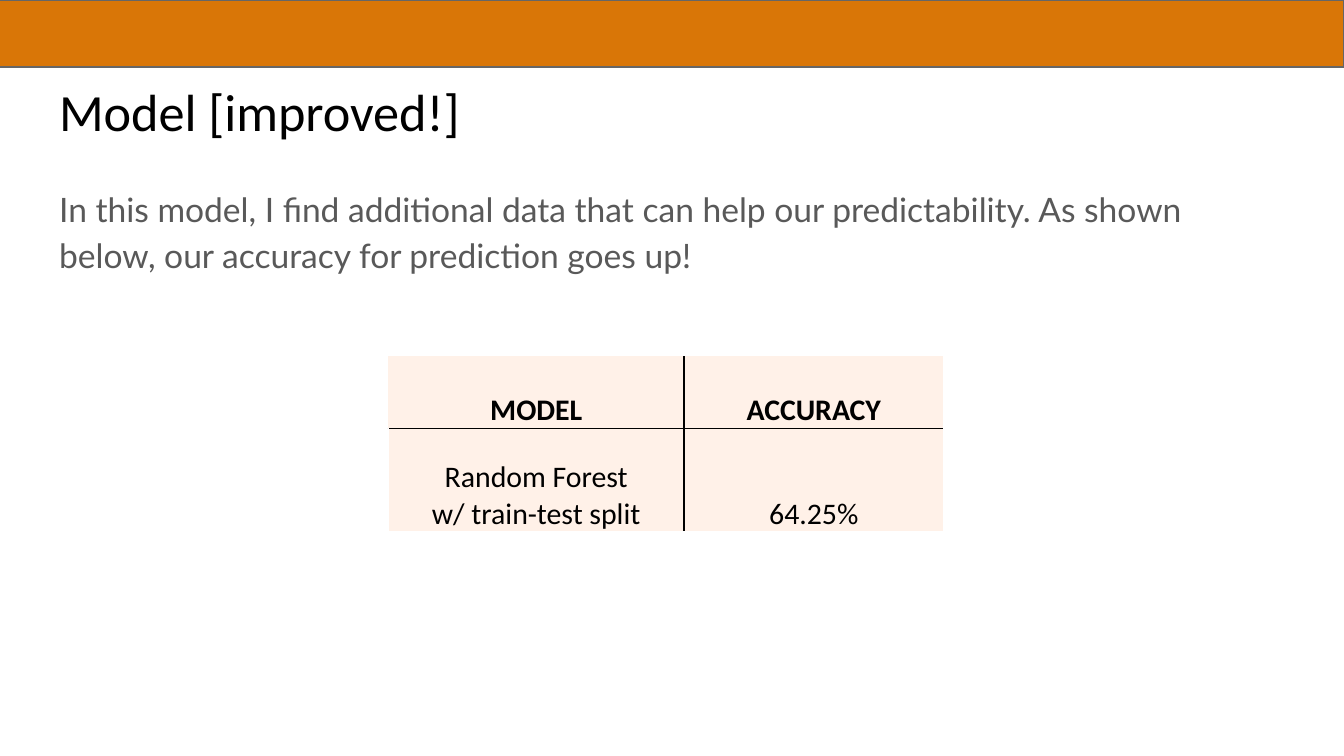
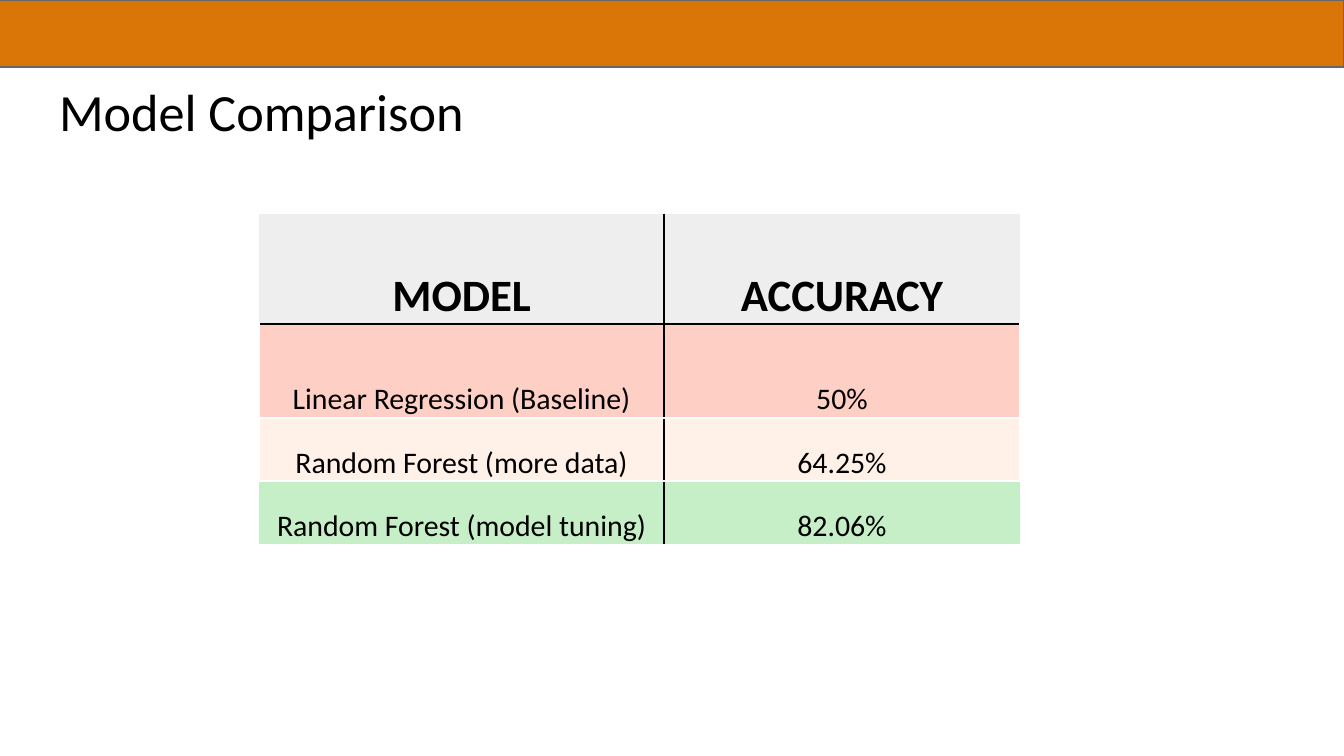
from lxml import etree
from pptx import Presentation
from pptx.dml.color import RGBColor
from pptx.enum.shapes import MSO_SHAPE
from pptx.enum.text import MSO_ANCHOR, MSO_AUTO_SIZE, PP_ALIGN
from pptx.oxml import parse_xml
from pptx.oxml.ns import nsdecls, qn
from pptx.util import Inches, Pt

RECT = MSO_SHAPE.RECTANGLE
TOP, BOTTOM = MSO_ANCHOR.TOP, MSO_ANCHOR.BOTTOM
LEFT, CENTER = PP_ALIGN.LEFT, PP_ALIGN.CENTER
FIXED = MSO_AUTO_SIZE.NONE

ORANGE, GREY, BLACK, WHITE = "D97607", "666666", "000000", "FFFFFF"
PEACH, PALE, PINK, GREEN = "FFF1E8", "EEEEEE", "FECFC4", "C6EFC8"
NO_STYLE = "{2D5ABB26-0587-4C30-8999-92F81FD0307C}"


def rgb(code):
    return RGBColor.from_string(code)


def write(frame, text, size, font="Calibri", color=BLACK, bold=False,
          align=LEFT, spacing=1.0):
    """Fill a text frame, one unbulleted paragraph per line of text."""
    frame.text = text
    frame.word_wrap = True
    for para in frame.paragraphs:
        props = para._p.get_or_add_pPr()
        props.set("marL", "0")
        props.set("indent", "0")
        etree.SubElement(props, qn("a:buNone"))
        para.alignment = align
        para.line_spacing = spacing
        para.space_before = Pt(0)
        para.font.name = font
        para.font.size = Pt(size)
        para.font.bold = bold
        para.font.color.rgb = rgb(color)


slides = [
    dict(title="Model [improved!]",
         body="In this model, I find additional data that can help our "
              "predictability. As shown below, our accuracy for prediction "
              "goes up!",
         at=(2.89, 2.65), cols=(2.2, 1.93), head=16,
         rows=[(0.54, PEACH, "MODEL", "ACCURACY"),
               (0.77, PEACH, "Random Forest\nw/ train-test split", "64.25%")]),
    dict(title="Model Comparison", body=None,
         at=(1.93, 1.59), cols=(3.01, 2.65), head=24,
         rows=[(0.82, PALE, "MODEL", "ACCURACY"),
               (0.7, PINK, "Linear Regression (Baseline)", "50%"),
               (0.47, PEACH, "Random Forest (more data)", "64.25%"),
               (0.47, GREEN, "Random Forest (model tuning)", "82.06%")]),
]

# Widescreen, 16 to 9
prs = Presentation()
prs.slide_width = Inches(10)
prs.slide_height = Inches(10 * 9 / 16)

for data in slides:
    layout = prs.slide_layouts[1 if data["body"] else 5]
    slide = prs.slides.add_slide(layout)

    # Title and body
    texts = [(slide.shapes.title, data["title"], 0.49, 0.63, dict(size=28))]
    if data["body"]:
        look = dict(size=18, font="Lato", color="595959", spacing=1.15)
        texts.append((slide.placeholders[1], data["body"], 1.26, 3.74, look))
    for holder, text, top, height, look in texts:
        holder.left, holder.top = Inches(0.34), Inches(top)
        holder.width, holder.height = Inches(9.32), Inches(height)
        frame = holder.text_frame
        frame.auto_size = FIXED
        frame.vertical_anchor = TOP
        frame.margin_left = frame.margin_right = Inches(0.1)
        frame.margin_top = frame.margin_bottom = Inches(0.1)
        write(frame, text, **look)

    # Top band
    band = slide.shapes.add_shape(
        RECT, Inches(-0.01), 0, Inches(10.01), Inches(0.5))
    band.shadow.inherit = False
    band.fill.solid()
    band.fill.fore_color.rgb = rgb(ORANGE)
    band.line.color.rgb = rgb(GREY)
    band.line.width = Pt(0.75)

    # Accuracy table
    rows, cols = data["rows"], data["cols"]
    left, top = data["at"]
    table = slide.shapes.add_table(
        len(rows), len(cols), Inches(left), Inches(top), Inches(sum(cols)),
        Inches(sum(row[0] for row in rows))).table
    table.first_row = table.horz_banding = False
    table._tbl.tblPr.find(qn("a:tableStyleId")).text = NO_STYLE
    for c, width in enumerate(cols):
        table.columns[c].width = Inches(width)

    for r, (height, fill, *words) in enumerate(rows):
        table.rows[r].height = Inches(height)
        # Black grid inside, white edges around the first two results
        outer = WHITE if r in (1, 2) else None
        above = {1: BLACK, 2: WHITE}.get(r)
        below = {0: BLACK, 1: WHITE}.get(r)
        for c, word in enumerate(words):
            cell = table.cell(r, c)
            cell.margin_left = cell.margin_right = Inches(0.01)
            cell.margin_top, cell.margin_bottom = Inches(0.01), 0
            cell.vertical_anchor = BOTTOM
            write(cell.text_frame, word, size=16 if r else data["head"],
                  bold=r == 0, align=CENTER)
            sides = (BLACK, outer) if c else (outer, BLACK)
            for side, color in zip("LRTB", (*sides, above, below)):
                if color:
                    cell._tc.get_or_add_tcPr().append(parse_xml(
                        f'<a:ln{side} {nsdecls("a")} w="{Pt(1)}"><a:solidFill>'
                        f'<a:srgbClr val="{color}"/></a:solidFill></a:ln{side}>'))
            cell.fill.solid()
            cell.fill.fore_color.rgb = rgb(fill)

prs.save("out.pptx")
